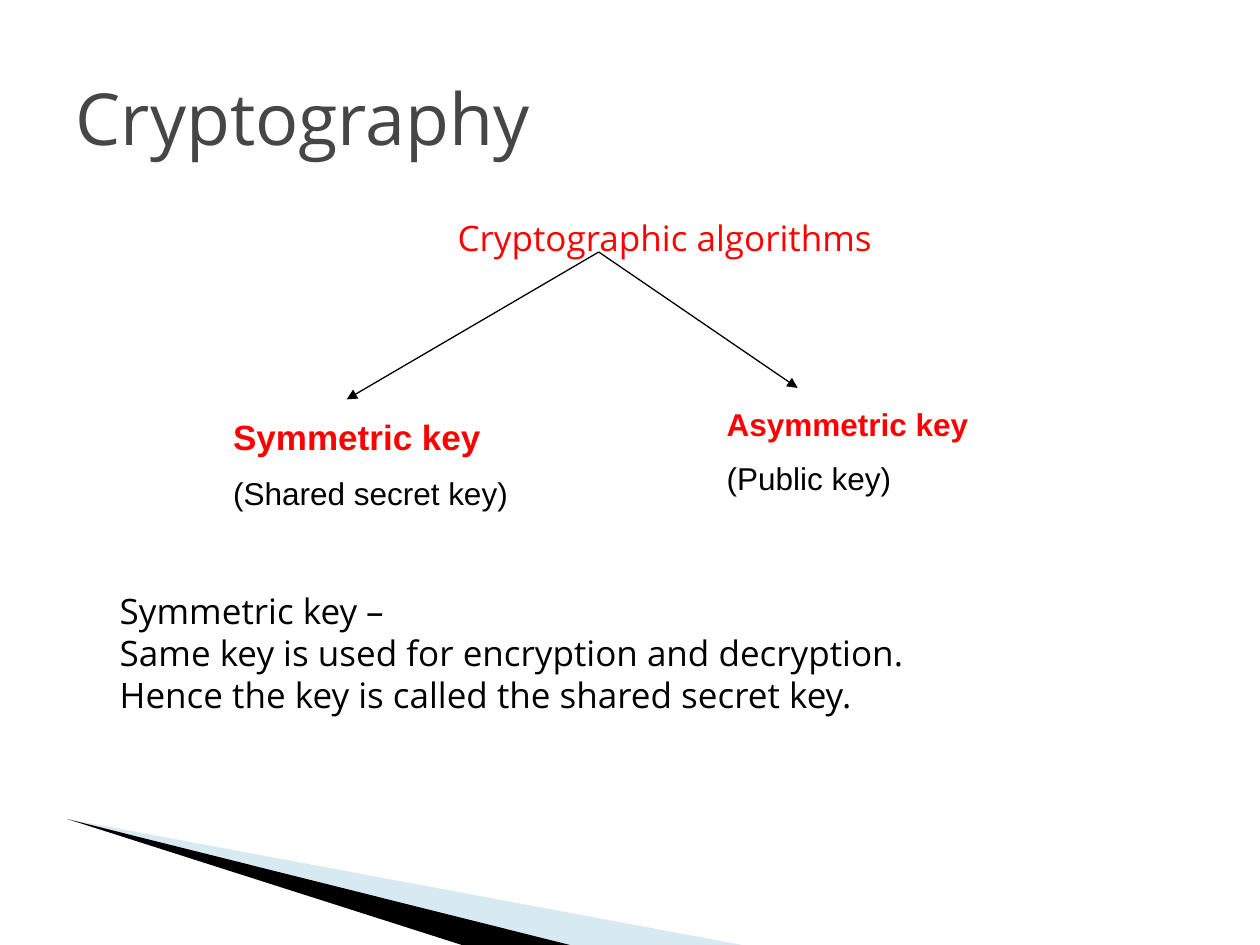
from lxml.etree import SubElement
from pptx import Presentation
from pptx.dml.color import RGBColor
from pptx.enum.shapes import MSO_CONNECTOR
from pptx.enum.text import MSO_ANCHOR, MSO_AUTO_SIZE, PP_ALIGN
from pptx.oxml.ns import qn
from pptx.util import Cm, Pt

# Content
TITLE = "Cryptography"
ROOT = "Cryptographic algorithms"
EXPLANATION = [
    "Symmetric key –",
    "Same key is used for encryption and decryption.",
    "Hence the key is called the shared secret key.",
]
# Branches: name, its size, note, box (left, top, width, height), arrow tip; in cm
BRANCHES = [
    ("Symmetric key", 20, "(Shared secret key)", (4.45, 8.26, 6.55, 2.26), (6.99, 8.05)),
    ("Asymmetric key", 18, "(Public key)", (14.4, 8.05, 6.55, 2.16), (16.08, 7.82)),
]

THEME = {
    "heading_font": "Open Sans", "label_font": "Arial",
    "title": "464646", "accent": "FF0000", "text": "000000", "wedge": "9FCBDC",
    "title_size": 41, "body_size": 20, "note_size": 18,
}

# Geometry in cm
SLIDE_WIDTH, SLIDE_HEIGHT = 25.4, 19.05
TITLE_BOX = (1.27, 0.76, 22.86, 3.18)
BODY_BOX = (1.07, 4.24, 22.86, 12.57)
ROOT_INDENT, TEXT_INDENT = 7.9, 1.09
DIAGRAM_GAP = 189  # points kept free for the diagram
ARROW_START = (12.07, 5.08)
WEDGE_TIP = (1.35, 16.51)
# Wedges: colour, opacity in percent, right and left end on the bottom edge
WEDGES = [("wedge", 40, 14.96, 11.49), ("text", 100, 11.49, 9.31)]


def color(name):
    return RGBColor.from_string(THEME[name])


def write(frame, text, *, size, ink="text", font="heading_font", bold=False,
          before=0, indent=0):
    """Add one paragraph, using the empty first one if there is one."""
    first = frame.paragraphs[0]
    paragraph = frame.add_paragraph() if first.runs else first
    properties = paragraph._p.get_or_add_pPr()
    properties.set("marL", str(Cm(indent)))
    properties.set("indent", "0")
    SubElement(properties, qn("a:buNone"))
    paragraph.alignment = PP_ALIGN.LEFT
    paragraph.space_before = Pt(before)
    run = paragraph.add_run()
    run.text = text
    run.font.name = THEME[font]
    run.font.size = Pt(size)
    run.font.bold = bold
    run.font.color.rgb = color(ink)


def place(shape, box):
    shape.left, shape.top, shape.width, shape.height = map(Cm, box)
    shape.text_frame.word_wrap = True
    shape.text_frame.auto_size = MSO_AUTO_SIZE.NONE
    return shape.text_frame


def add_wedge(slide, fill, opacity, right, left):
    builder = slide.shapes.build_freeform(*map(Cm, WEDGE_TIP))
    corners = [(Cm(x), Cm(SLIDE_HEIGHT)) for x in (right, left)]
    builder.add_line_segments(corners, close=True)
    wedge = builder.convert_to_shape()
    wedge.shadow.inherit = False
    wedge.line.fill.background()
    wedge.fill.solid()
    wedge.fill.fore_color.rgb = color(fill)
    if opacity < 100:
        tint = wedge._element.spPr.find(".//" + qn("a:srgbClr"))
        SubElement(tint, qn("a:alpha"), val=str(opacity * 1000))


def add_arrow(slide, start, end):
    arrow = slide.shapes.add_connector(
        MSO_CONNECTOR.STRAIGHT, *map(Cm, start + end))
    arrow.line.color.rgb = color("text")
    arrow.line.width = Pt(0.75)
    SubElement(arrow.line._get_or_add_ln(), qn("a:tailEnd"), type="triangle")
    SubElement(arrow._element.spPr, qn("a:effectLst"))


def main():
    deck = Presentation()
    deck.slide_width, deck.slide_height = Cm(SLIDE_WIDTH), Cm(SLIDE_HEIGHT)
    slide = deck.slides.add_slide(deck.slide_layouts[1])

    # Corner decoration
    for wedge in WEDGES:
        add_wedge(slide, *wedge)

    # Title
    title = place(slide.shapes.title, TITLE_BOX)
    title.vertical_anchor = MSO_ANCHOR.MIDDLE
    write(title, TITLE, size=THEME["title_size"], ink="title")

    # Root of the diagram, then the explanation below it
    body = place(slide.placeholders[1], BODY_BOX)
    write(body, ROOT, size=THEME["body_size"], ink="accent", indent=ROOT_INDENT)
    for number, line in enumerate(EXPLANATION):
        write(body, line, size=THEME["body_size"], indent=TEXT_INDENT,
              before=0 if number else DIAGRAM_GAP)

    # Branches
    for name, name_size, note, box, tip in BRANCHES:
        add_arrow(slide, ARROW_START, tip)
        label = place(slide.shapes.add_textbox(*map(Cm, box)), box)
        write(label, name, size=name_size, ink="accent", font="label_font", bold=True)
        write(label, note, size=THEME["note_size"], font="label_font", before=9)

    deck.save("out.pptx")


if __name__ == "__main__":
    main()
